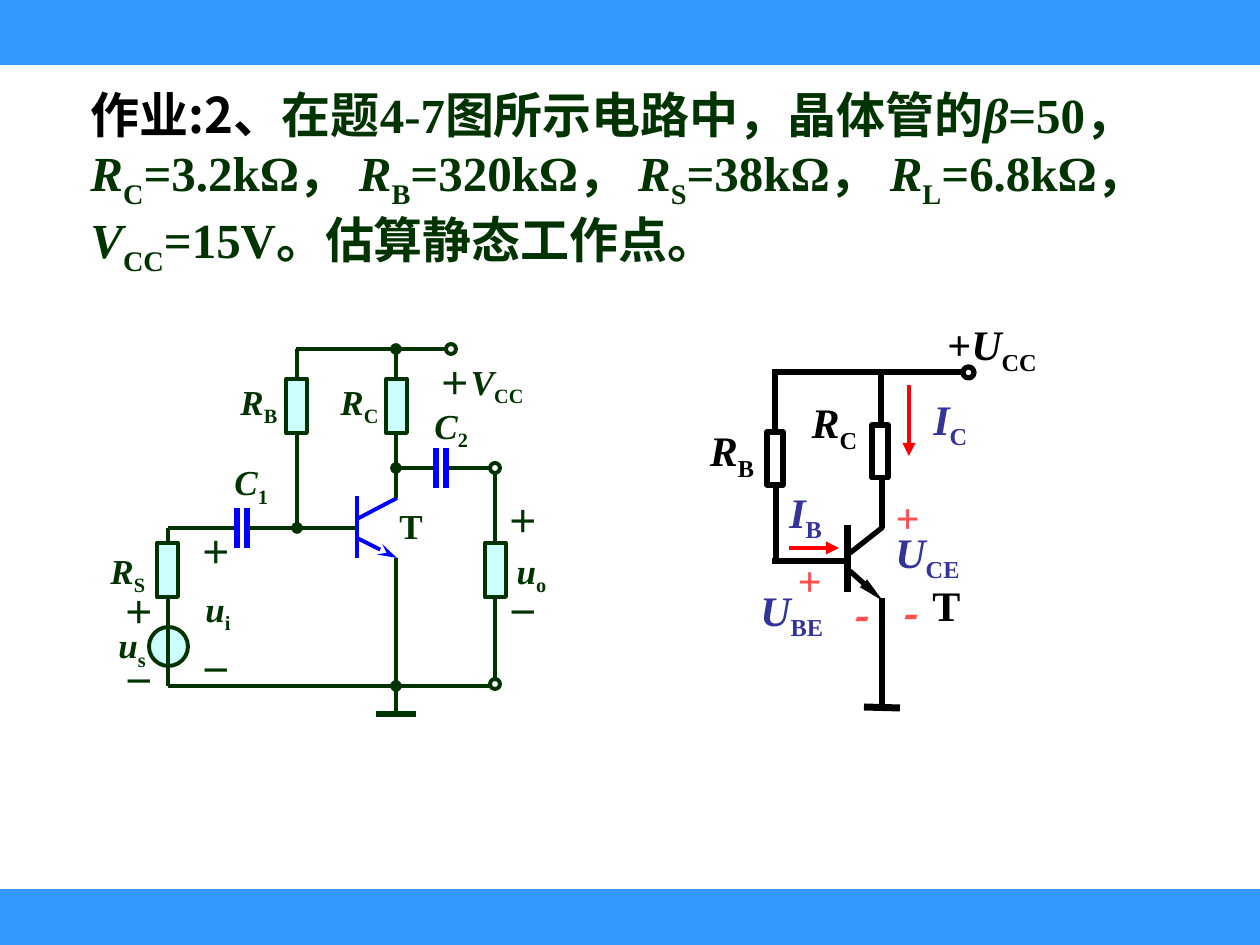
from dataclasses import dataclass
from typing import NamedTuple, Optional

from lxml.etree import SubElement
from pptx import Presentation
from pptx.dml.color import RGBColor
from pptx.enum.shapes import MSO_CONNECTOR, MSO_SHAPE
from pptx.enum.text import MSO_ANCHOR, MSO_AUTO_SIZE, PP_ALIGN
from pptx.oxml.ns import qn
from pptx.util import Emu, Pt

SKY = RGBColor(0x33, 0x99, 0xFF)
GREEN = RGBColor(0x00, 0x33, 0x00)
BLUE = RGBColor(0x00, 0x00, 0xFF)
PALE = RGBColor(0xCC, 0xFF, 0xFF)
WHITE = RGBColor(0xFF, 0xFF, 0xFF)
BLACK = RGBColor(0x00, 0x00, 0x00)
RED = RGBColor(0xFF, 0x00, 0x00)
CORAL = RGBColor(0xFF, 0x50, 0x50)
INDIGO = RGBColor(0x33, 0x33, 0x99)
SERIF = "Times New Roman"
SANS = "Noto Sans CJK SC"
LEFT, CENTER, RIGHT = PP_ALIGN.LEFT, PP_ALIGN.CENTER, PP_ALIGN.RIGHT


class Piece(NamedTuple):
    text: str
    italic: bool = False
    sub: bool = False
    size: Optional[int] = None
    color: Optional[RGBColor] = None
    font: str = SERIF


class End(NamedTuple):
    kind: str
    width: str = "med"
    length: str = "med"


DOT = End("oval")
ARROW = End("triangle")


@dataclass
class Wire:
    x1: int
    y1: int
    x2: int
    y2: int
    color: RGBColor = GREEN
    weight: float = 2.25
    head: Optional[End] = None
    tail: Optional[End] = None


@dataclass
class Label:
    box: tuple[int, int, int, int]
    pieces: list[Piece]
    size: int = 20
    color: RGBColor = GREEN
    align: PP_ALIGN = LEFT
    wrap: bool = False
    middle: bool = False


def px(length: int) -> Emu:
    """Turn px into EMU at 126 px to the inch."""
    return Emu(round(length * 914400 / 126))


def symbol(letter: str, index: str) -> list[Piece]:
    """Give an italic letter with an upright subscript."""
    return [Piece(letter, italic=True), Piece(index, sub=True)]


def draw_wire(slide, wire: Wire) -> None:
    """Draw a straight line with optional ends."""
    connector = slide.shapes.add_connector(
        MSO_CONNECTOR.STRAIGHT, px(wire.x1), px(wire.y1), px(wire.x2), px(wire.y2))
    connector.line.color.rgb = wire.color
    connector.line.width = Pt(wire.weight)
    outline = connector.line._get_or_add_ln()
    for tag, end in (("a:headEnd", wire.head), ("a:tailEnd", wire.tail)):
        if end:
            SubElement(outline, qn(tag), type=end.kind, w=end.width, len=end.length)
    SubElement(connector._element.spPr, qn("a:effectLst"))


def draw_shape(slide, kind: MSO_SHAPE, box: tuple[int, int, int, int],
               fill: RGBColor, line: RGBColor, weight: float) -> None:
    """Draw a filled and outlined preset shape."""
    shape = slide.shapes.add_shape(kind, *map(px, box))
    shape.shadow.inherit = False
    shape.fill.solid()
    shape.fill.fore_color.rgb = fill
    shape.line.color.rgb = line
    shape.line.width = Pt(weight)


def draw_label(slide, label: Label) -> None:
    """Write a one-paragraph text box."""
    frame = slide.shapes.add_textbox(*map(px, label.box)).text_frame
    frame.word_wrap = label.wrap
    frame.auto_size = MSO_AUTO_SIZE.SHAPE_TO_FIT_TEXT
    frame.vertical_anchor = MSO_ANCHOR.MIDDLE if label.middle else MSO_ANCHOR.TOP
    paragraph = frame.paragraphs[0]
    paragraph.alignment = label.align
    for piece in label.pieces:
        run = paragraph.add_run()
        run.text = piece.text
        run.font.name = piece.font
        run.font.size = Pt(piece.size or label.size)
        run.font.bold = True
        run.font.italic = piece.italic
        run.font.color.rgb = piece.color or label.color
        properties = run._r.get_or_add_rPr()
        if piece.sub:
            properties.set("baseline", "-25000")
        SubElement(properties, qn("a:ea"), typeface=SANS)


def draw_question(slide) -> None:
    """Write the exercise text."""
    pieces = [Piece("作业:2、", color=BLACK, font=SANS), Piece("在题4-7图所示电路中，晶体管的"),
              Piece("β", italic=True), Piece("=50，")]
    for letter, index, value in (
            ("R", "C", "=3.2kΩ， "), ("R", "B", "=320kΩ， "), ("R", "S", "=38kΩ， "),
            ("R", "L", "=6.8kΩ，"), ("V", "CC", "=15V。估算静态工作点。")):
        pieces += symbol(letter, index) + [Piece(value)]
    draw_label(slide, Label((78, 78, 1142, 190), pieces, 28, wrap=True))


def draw_amplifier(slide) -> None:
    """Draw the full amplifier circuit."""
    draw_shape(slide, MSO_SHAPE.OVAL, (149, 627, 39, 39), PALE, GREEN, 2.25)
    wires = [
        Wire(357, 519, 397, 498, BLUE),
        Wire(357, 538, 397, 558, BLUE, tail=End("stealth", length="lg")),
        Wire(247, 528, 357, 528), Wire(168, 528, 237, 528),
        Wire(396, 558, 396, 686), Wire(297, 528, 297, 349, head=DOT),
        Wire(168, 686, 495, 686), Wire(396, 498, 396, 349, tail=DOT),
        Wire(396, 468, 436, 468, head=DOT), Wire(296, 349, 445, 349),
        Wire(376, 714, 416, 714, weight=3), Wire(396, 714, 396, 686, tail=DOT),
        Wire(446, 468, 495, 468), Wire(168, 686, 168, 528),
        Wire(495, 686, 495, 468), Wire(357, 496, 357, 558, BLUE)]
    for x, y in ((237, 508), (436, 448)):
        wires += [Wire(plate, y, plate, y + 40, BLUE, 3) for plate in (x, x + 10)]
    for wire in wires:
        draw_wire(slide, wire)
    for x, y in ((286, 379), (386, 379), (157, 543), (485, 543)):
        draw_shape(slide, MSO_SHAPE.RECTANGLE, (x, y, 21, 54), PALE, GREEN, 2.25)
    for x, y in ((446, 344), (490, 463), (490, 679)):
        draw_shape(slide, MSO_SHAPE.OVAL, (x, y, 10, 10), WHITE, GREEN, 2.25)
    labels = [
        Label((228, 374, 84, 54), symbol("R", "B"), wrap=True),
        Label((328, 374, 84, 54), symbol("R", "C"), wrap=True),
        Label((387, 354, 149, 54), [Piece("＋", size=18)] + symbol("V", "CC"),
              align=RIGHT, wrap=True),
        Label((387, 498, 84, 54), [Piece("T")], wrap=True),
        Label((222, 454, 105, 54), symbol("C", "1"), wrap=True),
        Label((422, 398, 105, 54), symbol("C", "2"), wrap=True),
        Label((98, 543, 62, 54), symbol("R", "S")),
        Label((105, 617, 54, 54), symbol("u", "s"), align=CENTER),
        Label((503, 543, 57, 54), symbol("u", "o"), align=CENTER),
        Label((192, 581, 52, 54), symbol("u", "i"), align=CENTER)]
    for x, plus, minus in ((495, 496, 587), (188, 527, 645), (111, 587, 656)):
        labels += [Label((x, y, 57, 50), [Piece(sign)], 18)
                   for sign, y in (("＋", plus), ("－", minus))]
    for label in labels:
        draw_label(slide, label)


def draw_dc_circuit(slide) -> None:
    """Draw the direct-current circuit."""
    for ends in ((881, 422, 881, 372), (882, 484, 882, 441), (772, 561, 847, 561),
                 (850, 553, 883, 527), (882, 432, 882, 528), (882, 598, 882, 709),
                 (772, 372, 966, 372), (775, 454, 775, 372), (776, 515, 776, 472),
                 (776, 465, 776, 560)):
        draw_wire(slide, Wire(*ends, BLACK, 3))
    for wire in (Wire(848, 525, 848, 592, BLACK, 4), Wire(864, 707, 900, 708, BLACK, 4),
                 Wire(850, 571, 883, 601, BLACK, 3, tail=End("triangle", "sm", "lg")),
                 Wire(909, 385, 909, 456, RED, 2.5, tail=ARROW),
                 Wire(789, 548, 839, 548, RED, 2.5, tail=ARROW)):
        draw_wire(slide, wire)
    for x, y in ((872, 425), (767, 432)):
        draw_shape(slide, MSO_SHAPE.RECTANGLE, (x, y, 16, 53), WHITE, BLACK, 3)
    draw_shape(slide, MSO_SHAPE.OVAL, (963, 367, 11, 11), WHITE, BLACK, 3)
    draw_label(slide, Label((935, 316, 120, 63), [Piece("+")] + symbol("U", "CC"),
                            24, BLACK, middle=True))
    for x, y, width, pieces in ((798, 394, 73, symbol("R", "C")), (920, 573, 53, [Piece("T")]),
                                (696, 422, 72, symbol("R", "B"))):
        draw_label(slide, Label((x, y, width, 63), pieces, 24, BLACK, CENTER, middle=True))
    for x, y, width, letter, index, wrap in (
            (921, 387, 63, "I", "C", True), (777, 480, 63, "I", "B", True),
            (883, 520, 108, "U", "CE", True), (748, 578, 93, "U", "BE", False)):
        draw_label(slide, Label((x, y, width, 63), symbol(letter, index), 24, INDIGO, wrap=wrap))
    for x, y, sign, font in ((883, 485, "+", SERIF), (883, 581, "-", SANS),
                             (785, 548, "+", SERIF), (834, 583, "-", SANS)):
        draw_label(slide, Label((x, y, 48, 63), [Piece(sign, italic=True, font=font)],
                                24, CORAL, CENTER, middle=True))


def main() -> None:
    """Build and save the slide."""
    presentation = Presentation()
    presentation.slide_width, presentation.slide_height = px(1260), px(945)
    slide = presentation.slides.add_slide(presentation.slide_layouts[6])
    draw_shape(slide, MSO_SHAPE.RECTANGLE, (1, 892, 1259, 53), SKY, SKY, 3)
    draw_shape(slide, MSO_SHAPE.RECTANGLE, (0, 0, 1260, 64), SKY, SKY, 0)
    draw_question(slide)
    draw_amplifier(slide)
    draw_dc_circuit(slide)
    presentation.save("out.pptx")


if __name__ == "__main__":
    main()
